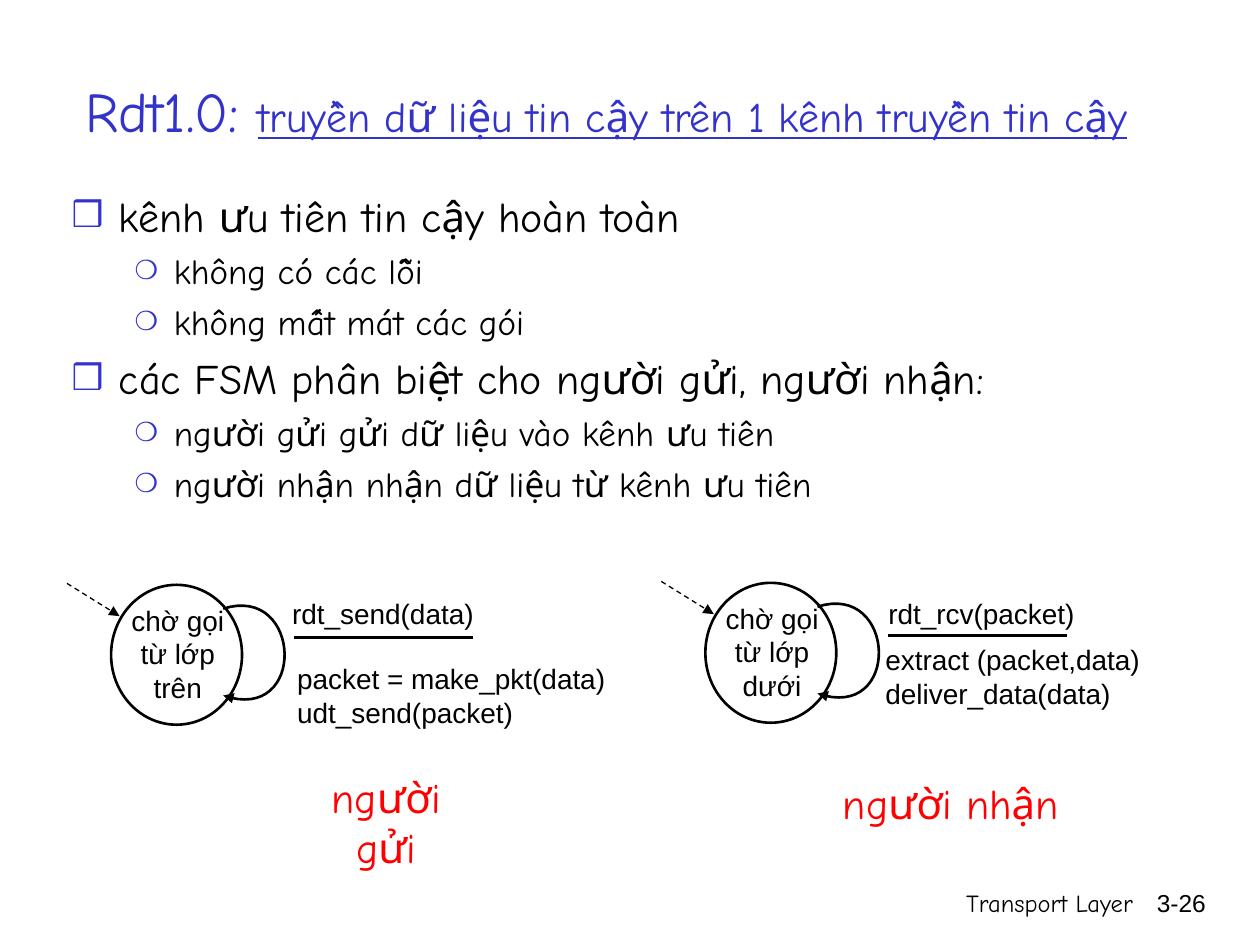
from dataclasses import dataclass

from lxml.etree import SubElement
from pptx import Presentation
from pptx.dml.color import RGBColor
from pptx.enum.dml import MSO_LINE
from pptx.enum.shapes import MSO_CONNECTOR, MSO_SHAPE
from pptx.enum.text import MSO_ANCHOR, MSO_AUTO_SIZE, PP_ALIGN
from pptx.oxml.ns import qn
from pptx.util import Cm, Pt


@dataclass
class Theme:
    blue = RGBColor(0x33, 0x33, 0xCC)
    black = RGBColor(0, 0, 0)
    red = RGBColor(0xFF, 0, 0)
    white = RGBColor(0xFF, 0xFF, 0xFF)
    hand = "Comic Neue"
    sans = "Arial"
    title = Pt(32)
    head = Pt(24)
    sub = Pt(20)
    code = Pt(16)
    foot = Pt(14)


theme = Theme()
deck = Presentation()
deck.slide_width, deck.slide_height = Cm(25.4), Cm(19.05)
slide = deck.slides.add_slide(deck.slide_layouts[1])
shapes = slide.shapes


def label(box, lines, size, face=theme.sans, color=theme.black,
          align=PP_ALIGN.LEFT, wrap=True):
    """Add a text box at box (cm) with one paragraph per line."""
    frame = shapes.add_textbox(*map(Cm, box)).text_frame
    frame.word_wrap = wrap
    for i, line in enumerate(lines):
        para = frame.add_paragraph() if i else frame.paragraphs[0]
        para.alignment = align
        run = para.add_run()
        run.text = line
        run.font.size, run.font.name = size, face
        run.font.color.rgb = color


def stroke(item, width, tail=False):
    """Give a shape or connector a plain black line without shadow."""
    item.line.color.rgb = theme.black
    item.line.width = Pt(width)
    props = item.element.spPr
    if tail:
        SubElement(props.find(qn("a:ln")), qn("a:tailEnd"), type="triangle")
    SubElement(props, qn("a:effectLst"))


# Title
title = shapes.title
title.left, title.top, title.width, title.height = map(
    Cm, (1.47, 0.64, 22.23, 3.18))
frame = title.text_frame
frame.auto_size = MSO_AUTO_SIZE.NONE
frame.vertical_anchor = MSO_ANCHOR.MIDDLE
para = frame.paragraphs[0]
para.alignment = PP_ALIGN.LEFT
for text, size, under in (
    ("Rdt1.0: ", theme.title, False),
    ("truyền dữ liệu tin cậy trên 1 kênh truyền tin cậy", theme.head, True),
):
    run = para.add_run()
    run.text = text
    run.font.size, run.font.name = size, theme.hand
    run.font.underline = under
    run.font.color.rgb = theme.blue

# List: sign, its size in %, left margin, hanging indent, space before, text size
levels = (
    ("❒", 85, Cm(0.95), Cm(0.95), Pt(6), theme.head),
    ("❍", 75, Cm(2.06), Cm(0.79), Pt(5), theme.sub),
)
points = (
    (0, "kênh ưu tiên tin cậy hoàn toàn"),
    (1, "không có các lỗi"),
    (1, "không mất mát các gói"),
    (0, "các FSM phân biệt cho người gửi, người nhận:"),
    (1, "người gửi gửi dữ liệu vào kênh ưu tiên"),
    (1, "người nhận nhận dữ liệu từ kênh ưu tiên"),
)
body = slide.placeholders[1]
body.left, body.top, body.width, body.height = map(
    Cm, (1.19, 3.71, 21.95, 8.38))
frame = body.text_frame
frame.auto_size = MSO_AUTO_SIZE.NONE
for i, (level, text) in enumerate(points):
    sign, scale, margin, hang, gap, size = levels[level]
    para = frame.add_paragraph() if i else frame.paragraphs[0]
    para.level = level
    props = para._p.get_or_add_pPr()
    props.set("marL", str(margin))
    props.set("indent", str(-hang))
    tint = SubElement(props, qn("a:buClr"))
    SubElement(tint, qn("a:srgbClr"), val=str(theme.blue))
    SubElement(props, qn("a:buSzPct"), val=str(scale * 1000))
    SubElement(props, qn("a:buChar"), char=sign)
    para.space_before = gap if i else Pt(0)
    run = para.add_run()
    run.text = text
    run.font.size, run.font.name = size, theme.hand
    run.font.color.rgb = theme.black

# State machines: the receiver repeats the sender, shifted by dx and dy
curve = ((4.5, 12.27), (6.1, 11.76), (6.2, 14.61), (4.5, 14.02))
steps = 32
for dx, dy, state in (
    (0, 0, "chờ gọi từ lớp trên"),
    (11.98, -0.04, "chờ gọi từ lớp dưới"),
):
    ring = shapes.add_shape(
        MSO_SHAPE.OVAL, Cm(2.24 + dx), Cm(11.79 + dy), Cm(2.64), Cm(2.82))
    ring.fill.solid()
    ring.fill.fore_color.rgb = theme.white
    stroke(ring, 1.5)
    label((2.06 + dx, 12.04 + dy, 3.05, 2.54), [state], theme.code,
          align=PP_ALIGN.CENTER)

    # Sample the cubic curve of the self-transition
    spots = []
    for k in range(steps + 1):
        t = k / steps
        mix = ((1 - t) ** 3, 3 * t * (1 - t) ** 2, 3 * t * t * (1 - t), t ** 3)
        x = sum(m * p[0] for m, p in zip(mix, curve))
        y = sum(m * p[1] for m, p in zip(mix, curve))
        spots.append((Cm(x + dx), Cm(y + dy)))
    pen = shapes.build_freeform(*spots[0])
    pen.add_line_segments(spots[1:], close=False)
    loop = pen.convert_to_shape()
    loop.fill.background()
    stroke(loop, 1.5, tail=True)

    rule = shapes.add_connector(
        MSO_CONNECTOR.STRAIGHT,
        Cm(5.92 + dx), Cm(12.85 + dy), Cm(9.53 + dx), Cm(12.85 + dy))
    stroke(rule, 1.5)
    start = shapes.add_connector(
        MSO_CONNECTOR.STRAIGHT,
        Cm(1.35 + dx), Cm(11.76 + dy), Cm(2.41 + dx), Cm(12.42 + dy))
    start.line.dash_style = MSO_LINE.DASH
    stroke(start, 0.75, tail=True)

# Events and actions
label((5.64, 11.91, 6.27, 1.19), ["rdt_send(data)"], theme.code)
label((5.74, 13.21, 7.44, 1.65),
      ["packet = make_pkt(data)", "udt_send(packet)"], theme.code)
label((17.65, 11.91, 4.27, 0.94), ["rdt_rcv(packet)"], theme.code,
      align=PP_ALIGN.CENTER, wrap=False)
label((17.6, 12.83, 6.91, 1.19),
      ["extract (packet,data)", "deliver_data(data)"], theme.code)

# Captions
for box, name in (
    ((5.69, 15.42, 4.19, 1.27), "người gửi"),
    ((16.74, 15.54, 4.85, 1.27), "người nhận"),
):
    label(box, [name], theme.head, theme.hand, theme.red,
          PP_ALIGN.CENTER, wrap=False)

# Footer
label((15.04, 17.78, 8.05, 1.27), ["Transport Layer"], theme.foot, theme.hand,
      align=PP_ALIGN.RIGHT)
label((22.68, 17.78, 1.88, 1.27), ["3-26"], theme.foot, align=PP_ALIGN.RIGHT)

deck.save("out.pptx")
